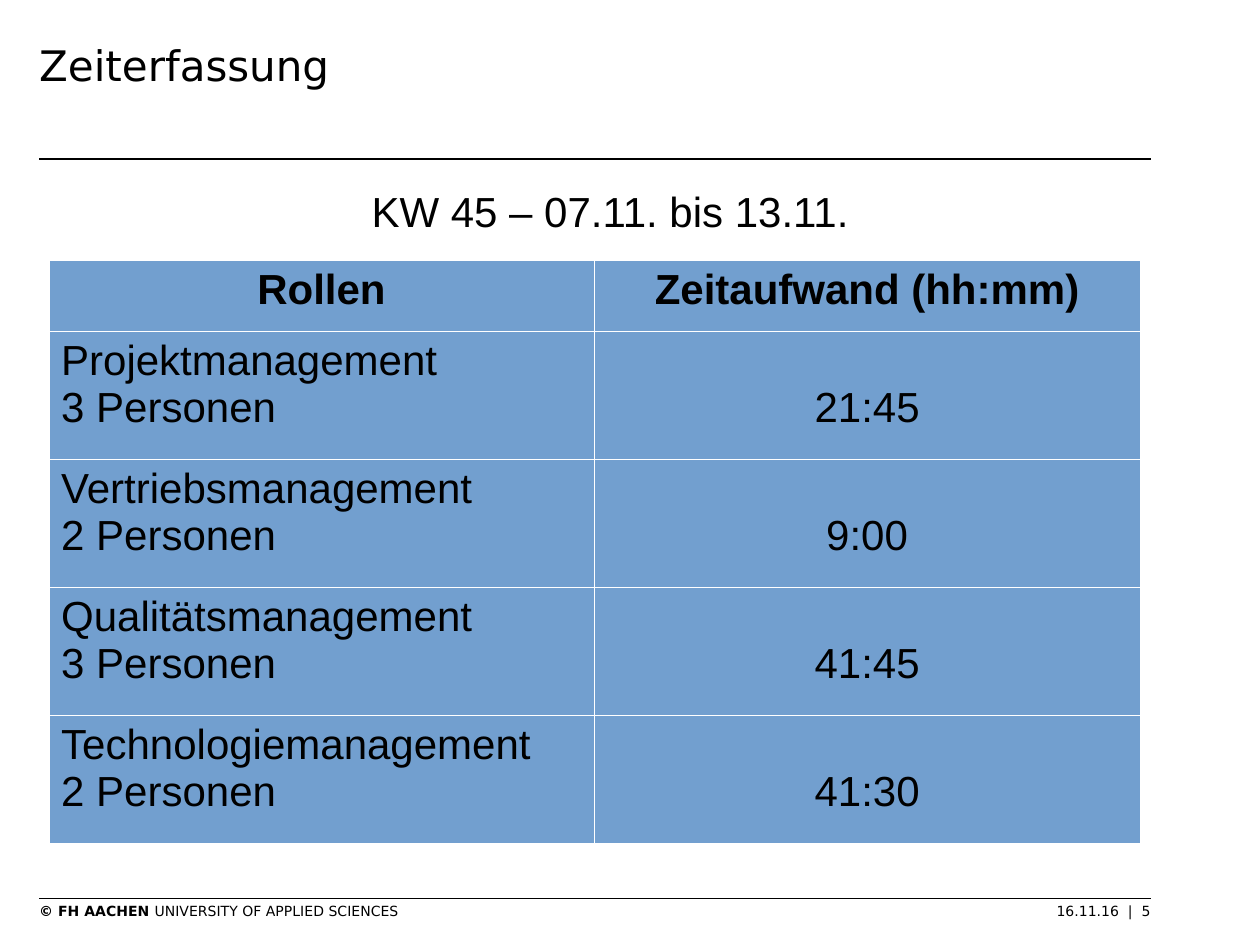
from lxml.etree import SubElement
from pptx import Presentation
from pptx.dml.color import RGBColor
from pptx.enum.shapes import MSO_CONNECTOR
from pptx.enum.text import MSO_ANCHOR, MSO_AUTO_SIZE, PP_ALIGN
from pptx.oxml.ns import qn
from pptx.util import Cm, Pt

TITLE = "Zeiterfassung"
WEEK = "KW 45 – 07.11. bis 13.11."
HEADINGS = ("Rollen", "Zeitaufwand (hh:mm)")
EFFORTS = [
    ("Projektmanagement\n3 Personen", "21:45"),
    ("Vertriebsmanagement\n2 Personen", "9:00"),
    ("Qualitätsmanagement\n3 Personen", "41:45"),
    ("Technologiemanagement\n2 Personen", "41:30"),
]
FOOTER = (("© FH AACHEN ", True),
          ("UNIVERSITY OF APPLIED SCIENCES\t16.11.16  |  5", False))

BLACK = RGBColor(0x00, 0x00, 0x00)
WHITE = RGBColor(0xFF, 0xFF, 0xFF)
BLUE = RGBColor(0x72, 0x9F, 0xCF)
LEFT, RIGHT = Cm(0.79), Cm(23.2)
WIDTH = RIGHT - LEFT
HEADING_HEIGHT, ROW_HEIGHT = Cm(1.44), Cm(2.58)
SECOND_LINE = Cm(1.07)


def style(font, size, name, bold=False):
    font.size, font.name, font.bold = Pt(size), name, bold
    font.color.rgb = BLACK


def add_rule(slide, top):
    rule = slide.shapes.add_connector(MSO_CONNECTOR.STRAIGHT, LEFT, top, RIGHT, top)
    rule.line.color.rgb = BLACK
    rule.line.width = Pt(1)
    SubElement(rule._element.spPr, qn("a:effectLst"))


def remove_margins(frame):
    frame.margin_left = frame.margin_right = frame.margin_top = frame.margin_bottom = 0


def add_footer(slide):
    box = slide.shapes.add_textbox(LEFT, Cm(18.19), Cm(23), Cm(0.38))
    frame = box.text_frame
    frame.word_wrap = True
    remove_margins(frame)
    para = frame.paragraphs[0]
    tabs = SubElement(para._p.get_or_add_pPr(), qn("a:tabLst"))
    SubElement(tabs, qn("a:tab"), pos=str(WIDTH), algn="r")
    for text, bold in FOOTER:
        span = para.add_run()
        span.text = text
        style(span.font, 8, "DejaVu Sans", bold)


def fill_cell(cell, text, centred, bold):
    cell.text = text
    for para in cell.text_frame.paragraphs:
        para.alignment = PP_ALIGN.CENTER if centred else PP_ALIGN.LEFT
        for span in para.runs:
            style(span.font, 24, "Arial", bold)
    properties = cell._tc.get_or_add_tcPr()
    for side in ("a:lnL", "a:lnR", "a:lnT", "a:lnB"):
        border = SubElement(properties, qn(side), w=str(Pt(0.06)))
        SubElement(SubElement(border, qn("a:solidFill")), qn("a:srgbClr"), val=str(WHITE))
    cell.fill.solid()
    cell.fill.fore_color.rgb = BLUE


def add_effort_table(slide):
    rows = [HEADINGS, *EFFORTS]
    height = HEADING_HEIGHT + ROW_HEIGHT * len(EFFORTS)
    table = slide.shapes.add_table(len(rows), len(HEADINGS), Cm(0.98), Cm(5.24),
                                   Cm(22), height).table
    table.first_row = table.horz_banding = False
    for row_index, texts in enumerate(rows):
        is_heading = row_index == 0
        table.rows[row_index].height = HEADING_HEIGHT if is_heading else ROW_HEIGHT
        for column, text in enumerate(texts):
            is_time = column == 1 and not is_heading
            cell = table.cell(row_index, column)
            fill_cell(cell, text, is_heading or is_time, is_heading)
            if is_time:
                cell.margin_top = SECOND_LINE


def main():
    deck = Presentation()
    deck.slide_width, deck.slide_height = Cm(25.4), Cm(19.05)
    slide = deck.slides.add_slide(deck.slide_layouts[5])

    add_rule(slide, Cm(3.2))
    add_rule(slide, Cm(18.11))
    add_footer(slide)

    title = slide.shapes.title
    title.left, title.top, title.width, title.height = LEFT, Cm(0.79), WIDTH, Cm(2)
    frame = title.text_frame
    frame.text = TITLE
    frame.auto_size = MSO_AUTO_SIZE.NONE
    frame.vertical_anchor = MSO_ANCHOR.TOP
    remove_margins(frame)
    frame.paragraphs[0].alignment = PP_ALIGN.LEFT
    style(frame.paragraphs[0].runs[0].font, 24, "DejaVu Sans")

    week = slide.shapes.add_textbox(Cm(0.2), Cm(3.61), Cm(24.2), Cm(1.2)).text_frame
    week.word_wrap = True
    week.text = WEEK
    week.paragraphs[0].alignment = PP_ALIGN.CENTER
    style(week.paragraphs[0].runs[0].font, 24, "Arial")

    add_effort_table(slide)
    deck.save("out.pptx")


if __name__ == "__main__":
    main()
